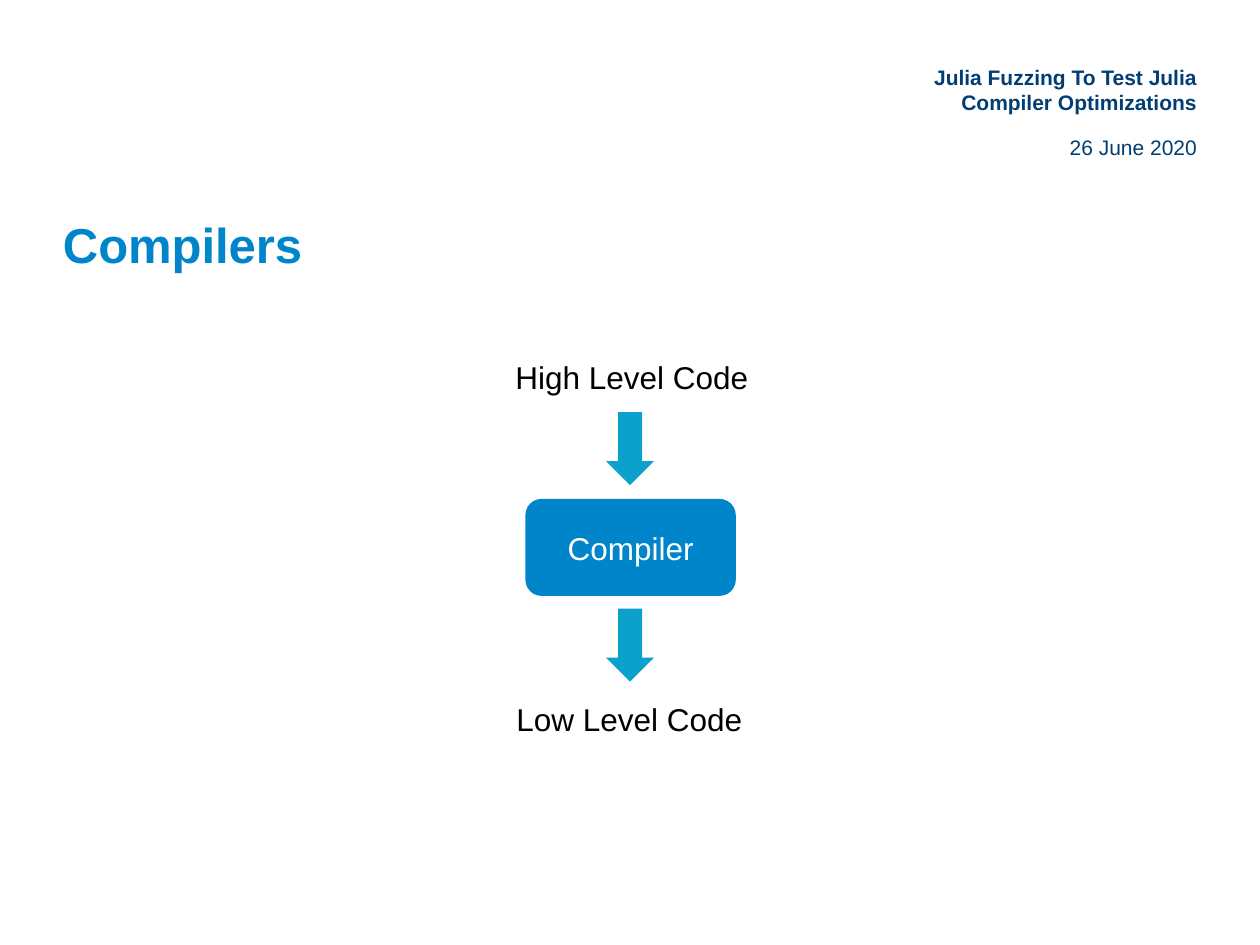
from pptx import Presentation
from pptx.dml.color import RGBColor
from pptx.enum.shapes import MSO_SHAPE
from pptx.enum.text import MSO_ANCHOR, PP_ALIGN
from pptx.util import Inches, Pt

ROUNDED, ARROW = MSO_SHAPE.ROUNDED_RECTANGLE, MSO_SHAPE.RIGHT_ARROW
TOP, MIDDLE = MSO_ANCHOR.TOP, MSO_ANCHOR.MIDDLE
LEFT, CENTER, RIGHT = PP_ALIGN.LEFT, PP_ALIGN.CENTER, PP_ALIGN.RIGHT
COLUMNS, ROWS = 100, 75
BLUE, NAVY, CYAN, BLACK, WHITE = "0085CA", "003E74", "0CA1CD", "000000", "FFFFFF"


def color(value):
    """Turn a hex string into a colour."""
    return RGBColor.from_string(value)


class Deck:
    """Holds the style and the current slide, measured in grid columns and rows."""

    font = "Arial"

    def __init__(self):
        self.prs = Presentation()
        self.prs.slide_width, self.prs.slide_height = Inches(10), Inches(7.5)
        self.column = self.prs.slide_width / COLUMNS
        self.row = self.prs.slide_height / ROWS
        self.s = self.prs.slides.add_slide(self.prs.slide_layouts[6])

    def place(self, x, y, w, h):
        """Convert a grid box to slide lengths."""
        return (round(x * self.column), round(y * self.row),
                round(w * self.column), round(h * self.row))

    def set_text(self, sp, text, size, ink, align, bold=False):
        """Put one styled paragraph into a shape."""
        tf = sp.text_frame
        tf.word_wrap = True
        p = tf.paragraphs[0]
        p.text, p.alignment = text, align
        p.font.name, p.font.size, p.font.bold = self.font, Pt(size), bold
        p.font.color.rgb = color(ink)
        return p

    def heading(self, box, text, size, ink, align, bold=True, anchor=TOP, inset=0, before=0):
        """Add a text box without side margins."""
        sp = self.s.shapes.add_textbox(*self.place(*box))
        tf = sp.text_frame
        tf.margin_left = tf.margin_right = tf.margin_bottom = 0
        tf.margin_top, tf.vertical_anchor = Inches(inset), anchor
        p = self.set_text(sp, text, size, ink, align, bold)
        p.space_before = Pt(before)

    def label(self, box, text):
        """Add a centred diagram label."""
        sp = self.s.shapes.add_textbox(*self.place(*box))
        self.set_text(sp, text, 18, BLACK, CENTER)

    def shape(self, kind, box, fill, rotation=0):
        """Add a plain filled shape."""
        sp = self.s.shapes.add_shape(kind, *self.place(*box))
        sp.shadow.inherit = False
        sp.fill.solid()
        sp.fill.fore_color.rgb = color(fill)
        sp.line.fill.background()
        sp.rotation = rotation
        return sp

    def node(self, box, text):
        """Add a rounded box with a caption."""
        sp = self.shape(ROUNDED, box, BLUE)
        sp.text_frame.vertical_anchor = MIDDLE
        self.set_text(sp, text, 18, WHITE, CENTER)

    def down_arrow(self, y):
        """Add a downward arrow on the diagram's axis."""
        self.shape(ARROW, (47.1, y, 5.8, 3.8), CYAN, 90)


def main():
    """Build and save the compilers slide."""
    deck = Deck()
    deck.heading((5, 16.3, 90, 5.6), "Compilers", 28, BLUE, LEFT, anchor=MIDDLE, inset=0.05)
    deck.heading((67.4, 5.1, 27.6, 5.6), "Julia Fuzzing To Test Julia Compiler Optimizations",
                 12, NAVY, RIGHT, before=1)
    deck.heading((77.6, 10.7, 17.4, 2.8), "26 June 2020", 12, NAVY, RIGHT, bold=False, before=1)
    deck.node((41.7, 39.6, 16.7, 7.7), "Compiler")
    deck.label((39.1, 27.9, 22.1, 4), "High Level Code")
    deck.label((39.2, 55.1, 21.5, 4), "Low Level Code")
    for y in (33.7, 49.3):
        deck.down_arrow(y)
    deck.prs.save("out.pptx")


if __name__ == "__main__":
    main()
